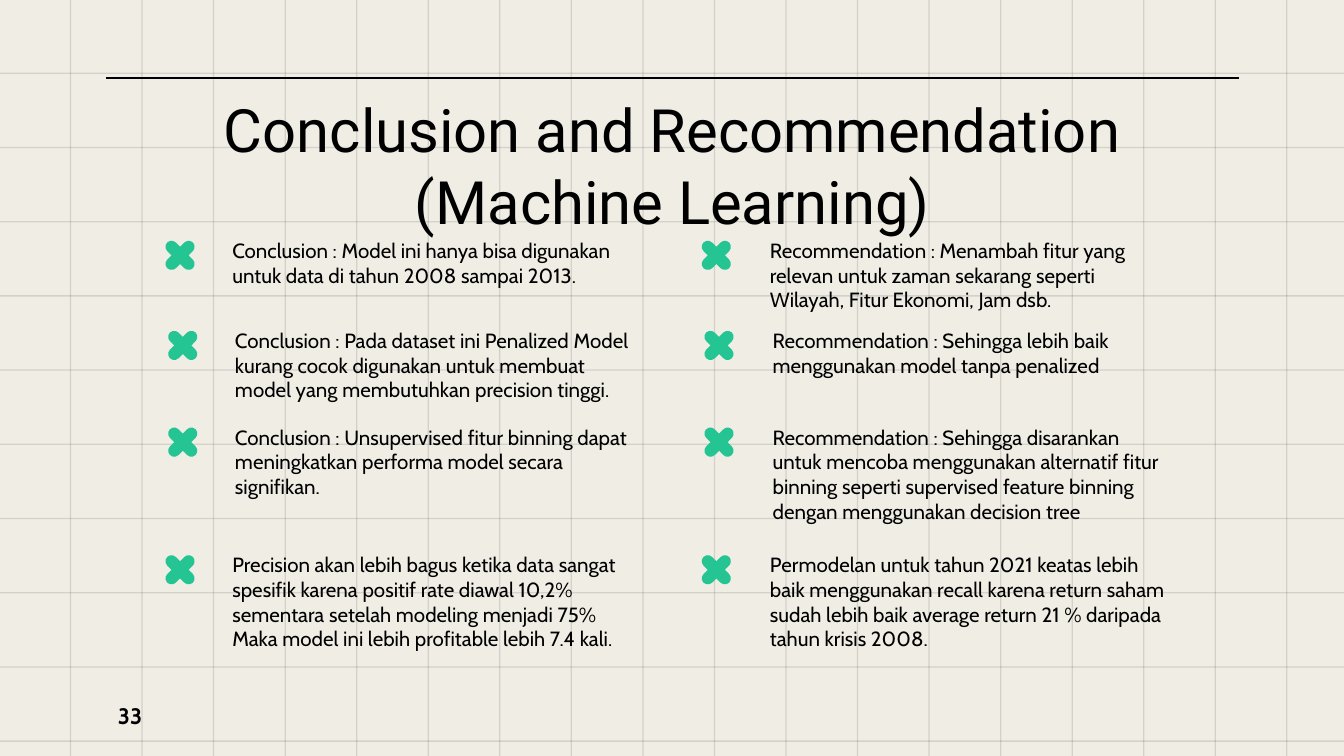
import pptx
import pptx.util
import pptx.dml.color
import pptx.enum.shapes
import pptx.enum.text
import pptx.oxml
import pptx.oxml.ns
import lxml.etree

Inches = pptx.util.Inches
RGB = pptx.dml.color.RGBColor
BLACK = RGB(0x00, 0x00, 0x00)
CREAM = RGB(0xF0, 0xED, 0xE5)
GREEN = RGB(0x25, 0xC5, 0x93)
KINDS = pptx.enum.shapes.MSO_SHAPE
ANCHOR = pptx.enum.text.MSO_ANCHOR
ALIGN = pptx.enum.text.PP_ALIGN
qn = pptx.oxml.ns.qn


def write(box, text, size=11, font="Cabin", bold=False,
          align=ALIGN.LEFT, anchor=ANCHOR.TOP):
    frame = box.text_frame
    frame.word_wrap = True
    frame.auto_size = pptx.enum.text.MSO_AUTO_SIZE.NONE
    frame.vertical_anchor = anchor
    frame.margin_left = frame.margin_right = Inches(0.1)
    frame.margin_top = frame.margin_bottom = Inches(0.1)
    para = frame.paragraphs[0]
    para.alignment = align
    run = para.add_run()
    run.text = text
    run.font.size = pptx.util.Pt(size)
    run.font.name = font
    run.font.bold = bold
    run.font.color.rgb = BLACK


def block(group, kind, left, top, width, height, color):
    shape = group.shapes.add_shape(
        kind, Inches(left), Inches(top), Inches(width), Inches(height))
    shape.shadow.inherit = False
    shape.fill.solid()
    shape.fill.fore_color.rgb = color
    shape.line.fill.background()
    return shape


deck = pptx.Presentation()
deck.slide_width = Inches(10)
deck.slide_height = Inches(10 * 9 / 16)
slide = deck.slides.add_slide(deck.slide_layouts[5])
slide.background.fill.solid()
slide.background.fill.fore_color.rgb = CREAM
shapes = slide.shapes

bars = [(0.52 + 9.05 * col / 17, -0.05, 0.01, 5.73) for col in range(18)]
bars += [(-0.1, 0.54 + 4.97 * row / 9, 10.2, 0.01) for row in range(10)]
for layer in range(2):
    grid = shapes.add_group_shape()
    for bar in bars:
        shape = block(grid, KINDS.RECTANGLE, *bar, BLACK)
        node = shape.element.spPr.find(qn("a:solidFill"))[0]
        lxml.etree.SubElement(node, qn("a:alpha")).set("val", "6000")

rule = shapes.add_connector(
    pptx.enum.shapes.MSO_CONNECTOR.STRAIGHT,
    Inches(0.79), Inches(0.58), Inches(9.22), Inches(0.58))
rule.line.color.rgb = BLACK
rule.line.width = pptx.util.Pt(0.75)
lxml.etree.SubElement(rule.element.spPr, qn("a:effectLst"))

page = shapes.add_textbox(
    Inches(0.78), Inches(5.11), Inches(0.6), Inches(0.43))
write(page, "33", size=12, bold=True, anchor=ANCHOR.MIDDLE)

title = shapes.title
title.left, title.top = Inches(0.79), Inches(0.59)
title.width, title.height = Inches(8.43), Inches(0.63)
write(title, "Conclusion and Recommendation (Machine Learning)",
      size=32, font="Roboto", align=ALIGN.CENTER)
page.element.addnext(title.element)

rows = [
    (1.63, 1.67, 1.63, 1.63,
     "Conclusion : Model ini hanya bisa digunakan untuk data di tahun 2008 sampai 2013.",
     "Recommendation : Menambah fitur yang relevan untuk zaman sekarang seperti Wilayah, Fitur Ekonomi, Jam dsb."),
    (1.65, 2.34, 1.63, 0.82,
     "Conclusion : Pada dataset ini Penalized Model kurang cocok digunakan untuk membuat model yang membutuhkan precision tinggi.",
     "Recommendation : Sehingga lebih baik menggunakan model tanpa penalized"),
    (1.65, 3.06, 0.82, 1.63,
     "Conclusion : Unsupervised fitur binning dapat meningkatkan performa model secara signifikan.",
     "Recommendation : Sehingga disarankan untuk mencoba menggunakan alternatif fitur binning seperti supervised feature binning dengan menggunakan decision tree"),
    (1.63, 4.01, 1.63, 1.63,
     "Precision akan lebih bagus ketika data sangat spesifik karena positif rate diawal 10,2% sementara setelah modeling menjadi 75% Maka model ini lebih profitable lebih 7.4 kali.",
     "Permodelan untuk tahun 2021 keatas lebih baik menggunakan recall karena return saham sudah lebih baik average return 21 % daripada tahun krisis 2008."),
]
for left, top, *sizes, first, second in rows:
    for col, text in enumerate([first, second]):
        box = shapes.add_textbox(
            Inches(left + 4 * col), Inches(top),
            Inches(3.18), Inches(sizes[col]))
        write(box, text)
        cross = shapes.add_group_shape()
        mid = left - 0.29 + 3.99 * col
        for width, tall in [(0.09, 0.27), (0.27, 0.09)]:
            arm = block(cross, KINDS.ROUNDED_RECTANGLE, mid - width / 2,
                        top + 0.23 - tall / 2, width, tall, GREEN)
            arm.adjustments[0] = 0.5
            arm.rotation = 45

deck.save("out.pptx")
